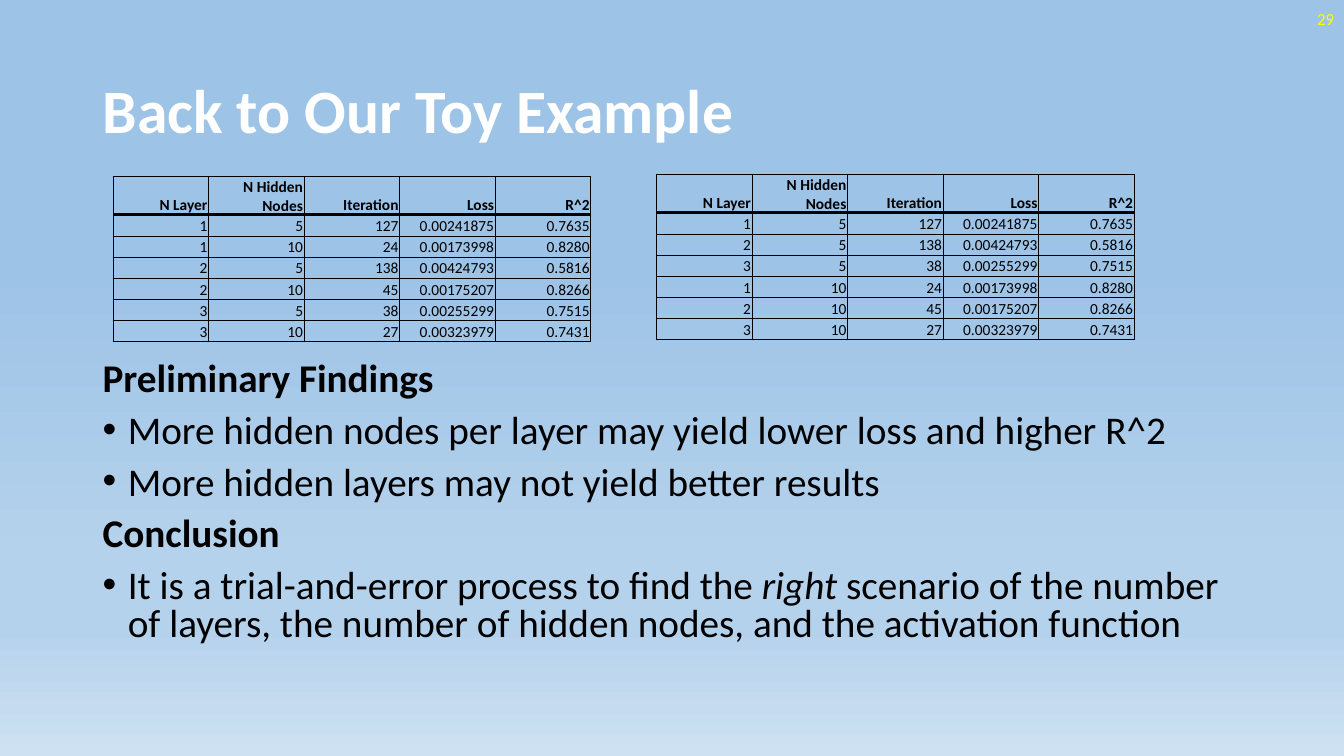
from lxml import etree
from pptx import Presentation
from pptx.dml.color import RGBColor
from pptx.enum import text
from pptx.oxml import ns
from pptx.util import Inches, Pt

WHITE = RGBColor(0xFF, 0xFF, 0xFF)
BLACK = RGBColor(0, 0, 0)
YELLOW = RGBColor(0xFF, 0xFF, 0)
SKY = RGBColor(0x9D, 0xC3, 0xE6)
PALE_SKY = RGBColor(0xB5, 0xD2, 0xEC)
HAZE = RGBColor(0xCE, 0xE1, 0xF2)
STOPS = [(35, SKY), (74, PALE_SKY), (83, PALE_SKY), (100, HAZE)]
FONT = "Calibri"

HEADER = ["N Layer", "N Hidden Nodes", "Iteration", "Loss", "R^2"]
RESULTS = [
    (1, 5, 127, "0.00241875", "0.7635"),
    (1, 10, 24, "0.00173998", "0.8280"),
    (2, 5, 138, "0.00424793", "0.5816"),
    (2, 10, 45, "0.00175207", "0.8266"),
    (3, 5, 38, "0.00255299", "0.7515"),
    (3, 10, 27, "0.00323979", "0.7431"),
]
FINDINGS = [
    ("Preliminary Findings", False),
    ("More hidden nodes per layer may yield lower loss and higher R^2", True),
    ("More hidden layers may not yield better results", True),
    ("Conclusion", False),
    ("It is a trial-and-error process to find the *right* scenario of the number "
     "of layers, the number of hidden nodes, and the activation function", True),
]


def add_element(parent, tag, **attrs):
    """Append a DrawingML element to parent."""
    return etree.SubElement(parent, ns.qn(tag), attrs)


def set_background(slide):
    """Fill the background with a vertical gradient."""
    fill = slide.background.fill
    fill.gradient()
    fill.gradient_angle = 270
    stops = next(slide.element.iter(ns.qn("a:gsLst")))
    for gs in list(stops):
        stops.remove(gs)
    for pos, color in STOPS:
        gs = add_element(stops, "a:gs", pos=str(pos * 1000))
        add_element(gs, "a:srgbClr", val=str(color))


def style(p, size, color, bold=False):
    """Set the font of a whole paragraph."""
    p.font.name = FONT
    p.font.size = Pt(size)
    p.font.color.rgb = color
    p.font.bold = bold


def add_box(slide, left, top, width, height, anchor):
    """Add a wrapping text box and return its text frame."""
    tf = slide.shapes.add_textbox(
        Inches(left), Inches(top), Inches(width), Inches(height)).text_frame
    tf.word_wrap = True
    tf.vertical_anchor = anchor
    return tf


def add_line(slide, box, words, size, color, bold=False, align=text.PP_ALIGN.LEFT):
    """Add a single vertically centred line of text."""
    p = add_box(slide, *box, text.MSO_ANCHOR.MIDDLE).paragraphs[0]
    p.text = words
    p.alignment = align
    p.line_spacing = 0.9
    style(p, size, color, bold)


def add_findings(slide):
    """Add the headings and bullets; asterisks enclose italics."""
    tf = add_box(slide, 0.92, 3.55, 11.5, 3.21, text.MSO_ANCHOR.TOP)
    for i, (words, bulleted) in enumerate(FINDINGS):
        p = tf.paragraphs[0] if i == 0 else tf.add_paragraph()
        p.line_spacing = 0.8
        p.space_before = Pt(10 if i else 0)
        if bulleted:
            pPr = p._p.get_or_add_pPr()
            pPr.set("marL", str(Inches(0.25)))
            pPr.set("indent", str(Inches(-0.25)))
            add_element(pPr, "a:buFont", typeface="Arial")
            add_element(pPr, "a:buChar", char="•")
        style(p, 28, BLACK, not bulleted)
        for j, part in enumerate(words.split("*")):
            r = p.add_run()
            r.text = part
            if j % 2:
                r.font.italic = True


def set_borders(cell, top, bottom):
    """Draw the four borders of a cell, with top and bottom widths in points."""
    tcPr = cell._tc.get_or_add_tcPr()
    for side, width in zip("LRTB", (0.5, 0.5, top, bottom)):
        ln = add_element(tcPr, f"a:ln{side}", w=str(Pt(width)))
        add_element(add_element(ln, "a:solidFill"), "a:srgbClr", val=str(BLACK))


def add_results(slide, left, top, results):
    """Add a table of training results."""
    rows = [HEADER, *results]
    table = slide.shapes.add_table(
        len(rows), len(HEADER), Inches(left), Inches(top),
        Inches(4.74), Inches(1.64)).table
    table.first_row = table.horz_banding = False
    for col in table.columns:
        col.width = Inches(0.948)
    for i, values in enumerate(rows):
        table.rows[i].height = Inches(0.21 if i else 0.38)
        for j, value in enumerate(values):
            cell = table.cell(i, j)
            set_borders(cell, 2 if i == 1 else 0.5, 2 if i == 0 else 0.5)
            cell.fill.background()
            cell.margin_left = cell.margin_right = cell.margin_top = Inches(0.01)
            cell.margin_bottom = 0
            cell.vertical_anchor = text.MSO_ANCHOR.BOTTOM
            p = cell.text_frame.paragraphs[0]
            p.text = str(value)
            p.alignment = text.PP_ALIGN.RIGHT
            style(p, 11, BLACK, i == 0)


def main():
    """Build the slide and save it."""
    prs = Presentation()
    prs.slide_width, prs.slide_height = Inches(13.33), Inches(7.5)
    slide = prs.slides.add_slide(prs.slide_layouts[6])
    set_background(slide)
    add_line(slide, (0.92, 0.4, 11.5, 1.45), "Back to Our Toy Example", 44, WHITE, True)
    add_line(slide, (10.33, 0, 3, 0.4), "29", 12, YELLOW, align=text.PP_ALIGN.RIGHT)
    add_findings(slide)
    add_results(slide, 1.12, 1.75, RESULTS)
    add_results(slide, 6.51, 1.73, sorted(RESULTS, key=lambda row: (row[1], row[0])))
    prs.save("out.pptx")


if __name__ == "__main__":
    main()
